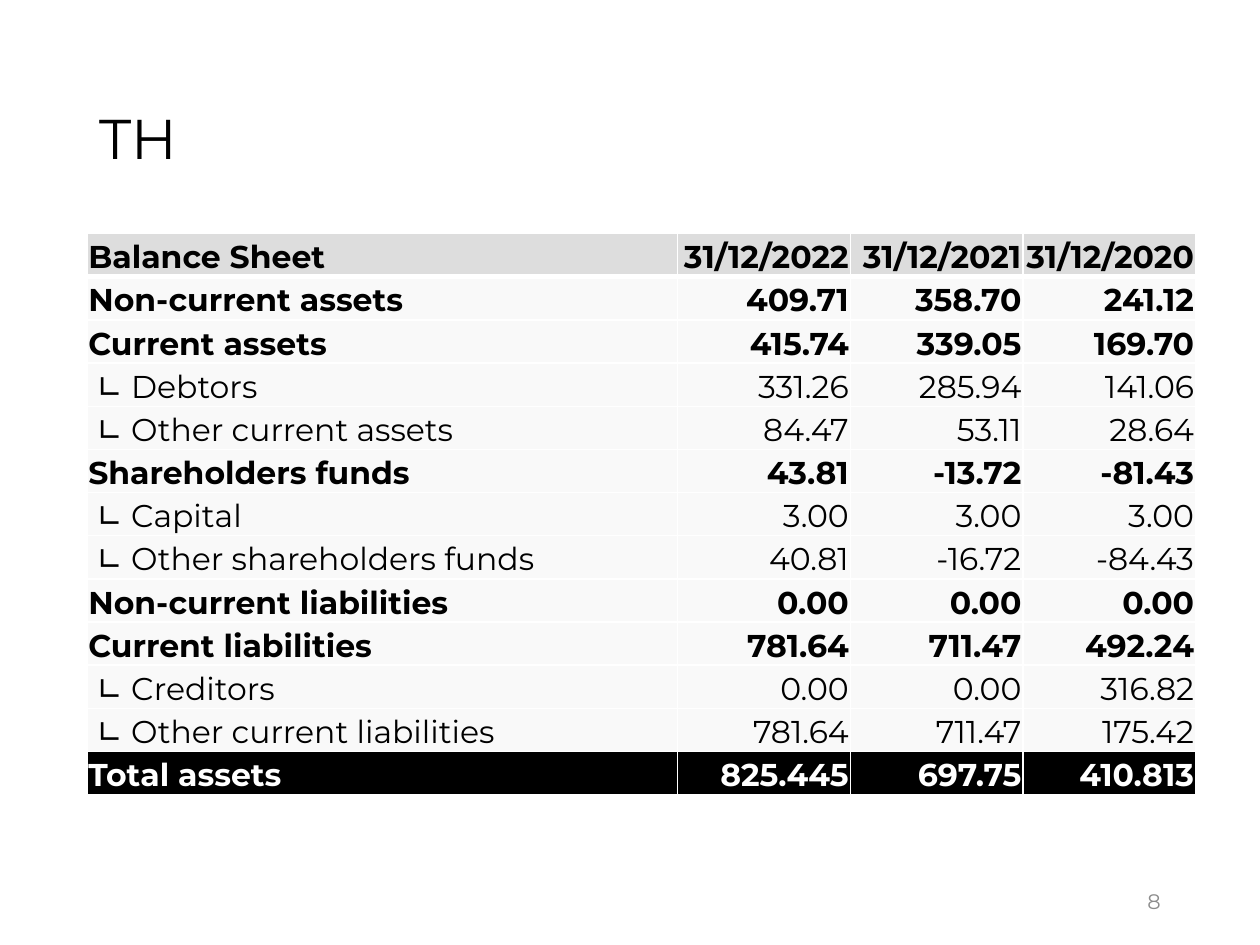
"""Build a balance sheet slide with a title, a table and a page number."""
from lxml.etree import SubElement as Sub
from pptx import Presentation
from pptx.dml.color import RGBColor as Rgb
from pptx.enum.text import MSO_ANCHOR as Anchor, PP_ALIGN as Align
from pptx.oxml.ns import qn
from pptx.util import Cm, Pt

FONT = "Montserrat"
HEAD = ("Balance Sheet", "31/12/2022", "31/12/2021", "31/12/2020")
BODY = [
    ("Non-current assets", "409.71", "358.70", "241.12"),
    ("Current assets", "415.74", "339.05", "169.70"),
    (" ∟ Debtors", "331.26", "285.94", "141.06"),
    (" ∟ Other current assets", "84.47", "53.11", "28.64"),
    ("Shareholders funds", "43.81", "-13.72", "-81.43"),
    (" ∟ Capital", "3.00", "3.00", "3.00"),
    (" ∟ Other shareholders funds", "40.81", "-16.72", "-84.43"),
    ("Non-current liabilities", "0.00", "0.00", "0.00"),
    ("Current liabilities", "781.64", "711.47", "492.24"),
    (" ∟ Creditors", "0.00", "0.00", "316.82"),
    (" ∟ Other current liabilities", "781.64", "711.47", "175.42"),
]
TOTAL = ("Total assets", "825.445", "697.75", "410.813")
ROWS = [HEAD, *BODY, TOTAL]
FILLS = ["DDDDDD"] + ["F9F9F9"] * len(BODY) + ["000000"]
INKS = ["000000"] * (len(BODY) + 1) + ["FFFFFF"]
COLS = (11.91, 3.48, 3.48, 3.48)
HIGH = 0.87


def color(code):
    return Rgb.from_string(code)


def write(frame, text, size, ink, align=Align.LEFT, bold=False):
    para = frame.paragraphs[0]
    para.text = text
    para.alignment = align
    font = para.font
    font.name, font.size, font.bold = FONT, Pt(size), bold
    font.color.rgb = color(ink)
    return para


def label(slide, spot, *args):
    frame = slide.shapes.add_textbox(*map(Cm, spot)).text_frame
    frame.word_wrap = True
    frame.vertical_anchor = Anchor.MIDDLE
    return write(frame, *args)


def edge(cell, side, width):
    line = Sub(cell._tc.get_or_add_tcPr(), qn(f"a:ln{side}"), w=str(Pt(width)))
    fill = Sub(line, qn("a:solidFill"))
    Sub(fill, qn("a:srgbClr"), val="FFFFFF")


def style(cell, row, col):
    text = ROWS[row][col]
    cell.margin_left = cell.margin_right = cell.margin_top = Cm(0.03)
    cell.margin_bottom = 0
    cell.vertical_anchor = Anchor.BOTTOM
    for side in "LRTB":
        thick = (row, side) in ((0, "B"), (1, "T"))
        edge(cell, side, 3 if thick else 1)
    cell.fill.solid()
    cell.fill.fore_color.rgb = color(FILLS[row])
    write(cell.text_frame, text, 18, INKS[row],
          Align.RIGHT if col else Align.LEFT, "∟" not in ROWS[row][0])


def sheet(slide):
    size = Cm(sum(COLS)), Cm(HIGH * len(ROWS))
    table = slide.shapes.add_table(
        len(ROWS), len(COLS), Cm(1.75), Cm(4.71), *size).table
    table.first_row = table.horz_banding = False
    for col, width in zip(table.columns, COLS):
        col.width = Cm(width)
    for y, row in enumerate(table.rows):
        row.height = Cm(HIGH)
        for x, cell in enumerate(row.cells):
            style(cell, y, x)


def main():
    deck = Presentation()
    deck.slide_width, deck.slide_height = Cm(25.4), Cm(19.05)
    slide = deck.slides.add_slide(deck.slide_layouts[6])
    title = label(slide, (1.75, 1.01, 21.9, 3.68), "TH", 32, "000000")
    title.line_spacing = 0.9
    label(slide, (17.94, 17.66, 5.71, 1.01), "8", 12, "8C8C8C", Align.RIGHT)
    sheet(slide)
    deck.save("out.pptx")


if __name__ == "__main__":
    main()
